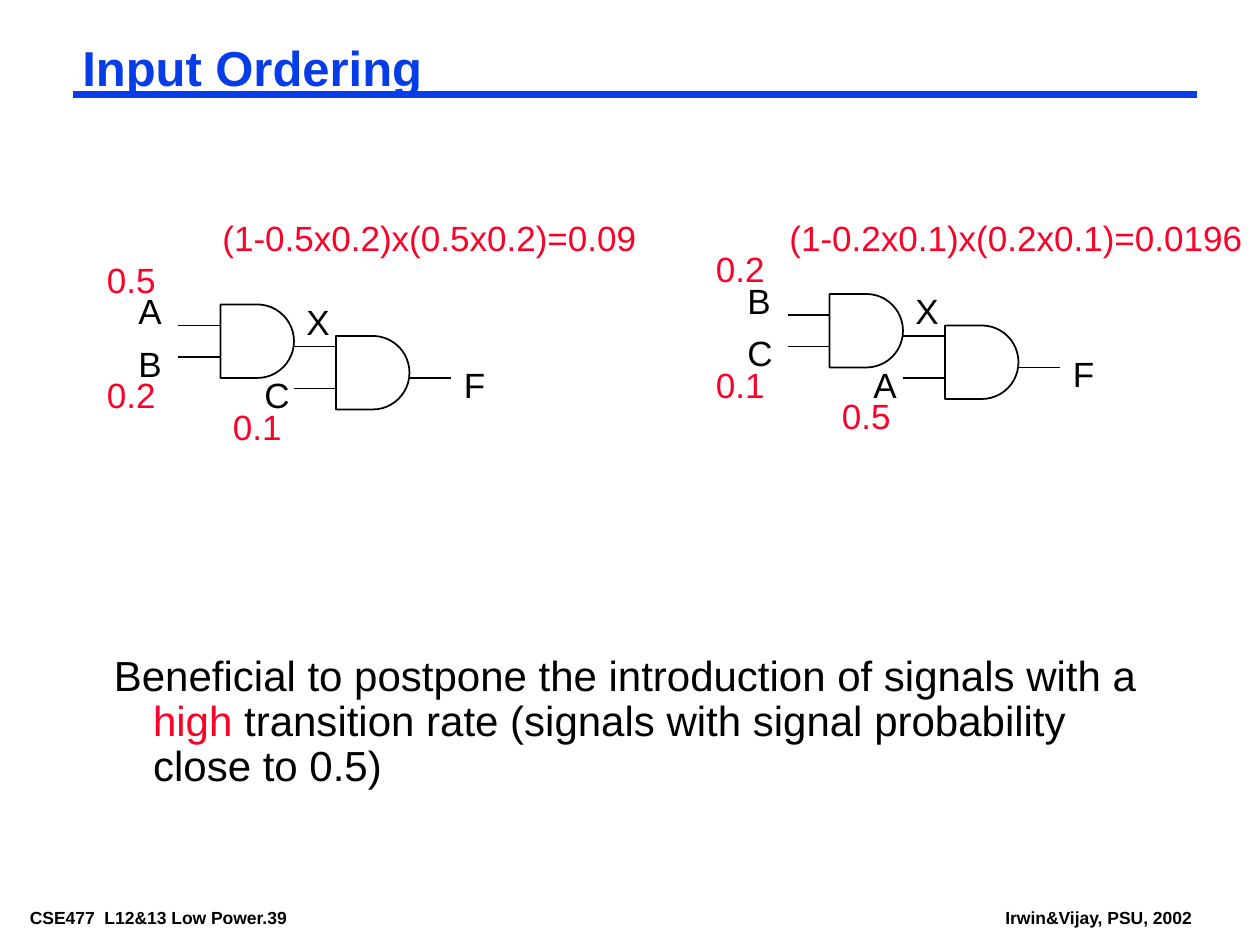
"""Build the Input Ordering slide, laid out on a grid of twelfths of an inch."""
from dataclasses import dataclass

from lxml import etree
from pptx import Presentation
from pptx import util as u
from pptx.dml.color import RGBColor
from pptx.enum import shapes, text
from pptx.oxml.ns import qn

BLACK, BLUE, RED = "000000", "063DE8", "FC0128"
SMALL_INSETS = (0.18, 0.08)
LABEL_INSETS = (0.25, 0.13)
GATE_SIZE = 7
GATES = [(12, 5), (23, 8)]
WIRES = [(8, 7), (8, 10), (19, 9), (30, 12), (19, 13)]
WIRE_LENGTH = 4
INPUT_SPOTS = [(3, 3), (3, 8), (15, 11)]
PROBABILITY_SPOTS = [(0, 0), (0, 11), (12, 14)]
NODES = [("X", 19, 4), ("F", 34, 10)]


@dataclass
class Circuit:
    x: float
    y: float
    inputs: str
    probabilities: tuple[str, ...]


@dataclass
class Label:
    x: float
    y: float
    w: float
    h: float
    runs: list[tuple[str, str]]
    size: float = 20
    bold: bool = False
    wrap: bool = True
    insets: tuple[float, float] = LABEL_INSETS
    spacing: float = 1.0
    hanging: float = 0
    grow: bool = True


def grid(n: float) -> u.Length:
    return u.Cm(n * 2.54 / 12)


def color(value: str) -> RGBColor:
    return RGBColor.from_string(value)


def apply(target: object, values: dict[str, object]) -> None:
    for name, value in values.items():
        setattr(target, name, value)


def add_label(s, label: Label) -> None:
    sp = s.shapes.add_textbox(*map(grid, (label.x, label.y, label.w, label.h)))
    tf = sp.text_frame
    side, edge = map(u.Cm, label.insets)
    fit = text.MSO_AUTO_SIZE
    apply(tf, {
        "margin_left": side, "margin_right": side,
        "margin_top": edge, "margin_bottom": edge,
        "word_wrap": label.wrap,
        "auto_size": fit.SHAPE_TO_FIT_TEXT if label.grow else fit.NONE,
    })
    p = tf.paragraphs[0]
    p.line_spacing = label.spacing
    if label.hanging:
        pPr = p._p.get_or_add_pPr()
        pPr.set("marL", str(u.Cm(label.hanging)))
        pPr.set("indent", str(-u.Cm(label.hanging)))
    for words, hue in label.runs:
        r = p.add_run()
        r.text = words
        apply(r.font, {"name": "Arial", "size": u.Pt(label.size), "bold": label.bold})
        r.font.color.rgb = color(hue)


def add_line(s, x: float, y: float, length: float, hue: str = BLACK, width: float = 1) -> None:
    sp = s.shapes.add_connector(
        shapes.MSO_CONNECTOR.STRAIGHT, grid(x), grid(y), grid(x + length), grid(y))
    sp.line.color.rgb = color(hue)
    sp.line.width = u.Pt(width)
    etree.SubElement(sp._element.spPr, qn("a:effectLst"))


def add_gate(s, x: float, y: float) -> None:
    sp = s.shapes.add_shape(
        shapes.MSO_SHAPE.FLOWCHART_DELAY, grid(x), grid(y), grid(GATE_SIZE), grid(GATE_SIZE))
    sp.shadow.inherit = False
    sp.fill.background()
    sp.line.color.rgb = color(BLACK)
    sp.line.width = u.Pt(1)


def add_circuit(s, c: Circuit) -> None:
    for x, y in GATES:
        add_gate(s, c.x + x, c.y + y)
    for x, y in WIRES:
        add_line(s, c.x + x, c.y + y, WIRE_LENGTH)
    inputs = [(name, *spot) for name, spot in zip(c.inputs, INPUT_SPOTS)]
    for name, x, y in inputs + NODES:
        add_label(s, Label(c.x + x, c.y + y, 4.6, 5.25, [(name, BLACK)], wrap=False))
    for value, (x, y) in zip(c.probabilities, PROBABILITY_SPOTS):
        add_label(s, Label(c.x + x, c.y + y, 9, 5.25, [(value, RED)]))


def main() -> None:
    prs = Presentation()
    apply(prs, {"slide_width": u.Cm(25.4), "slide_height": u.Cm(19.05)})
    s = prs.slides.add_slide(prs.slide_layouts[6])

    footers = [("CSE477  L12&13 Low Power.39", 2, 32.4),
               ("Irwin&Vijay, PSU, 2002", 94.9, 19.6)]
    for words, x, w in footers:
        add_label(s, Label(x, 86, w, 2.6, [(words, BLACK)], size=10, bold=True,
                           wrap=False, insets=SMALL_INSETS))
    add_line(s, 7, 9, 107, BLUE, 4.5)
    add_label(s, Label(7, 4, 107, 5.5, [("Input Ordering", BLUE)], size=28, bold=True,
                       insets=SMALL_INSETS, spacing=0.87))
    advice = [
        ("Beneficial to postpone the introduction of signals with a ", BLACK),
        ("high", RED),
        (" transition rate (signals with signal probability close to 0.5)", BLACK),
    ]
    add_label(s, Label(10, 62, 102, 13.7, advice, size=24, insets=SMALL_INSETS,
                       spacing=0.9, hanging=0.79, grow=False))

    circuits = [Circuit(9, 24, "ABC", ("0.5", "0.2", "0.1")),
                Circuit(67, 23, "BCA", ("0.2", "0.1", "0.5"))]
    for circuit in circuits:
        add_circuit(s, circuit)
    formulas = [("(1-0.5x0.2)x(0.5x0.2)=0.09", 20, 44),
                ("(1-0.2x0.1)x(0.2x0.1)=0.0196", 74, 46)]
    for words, x, w in formulas:
        add_label(s, Label(x, 20, w, 5.25, [(words, RED)]))

    prs.save("out.pptx")


if __name__ == "__main__":
    main()
